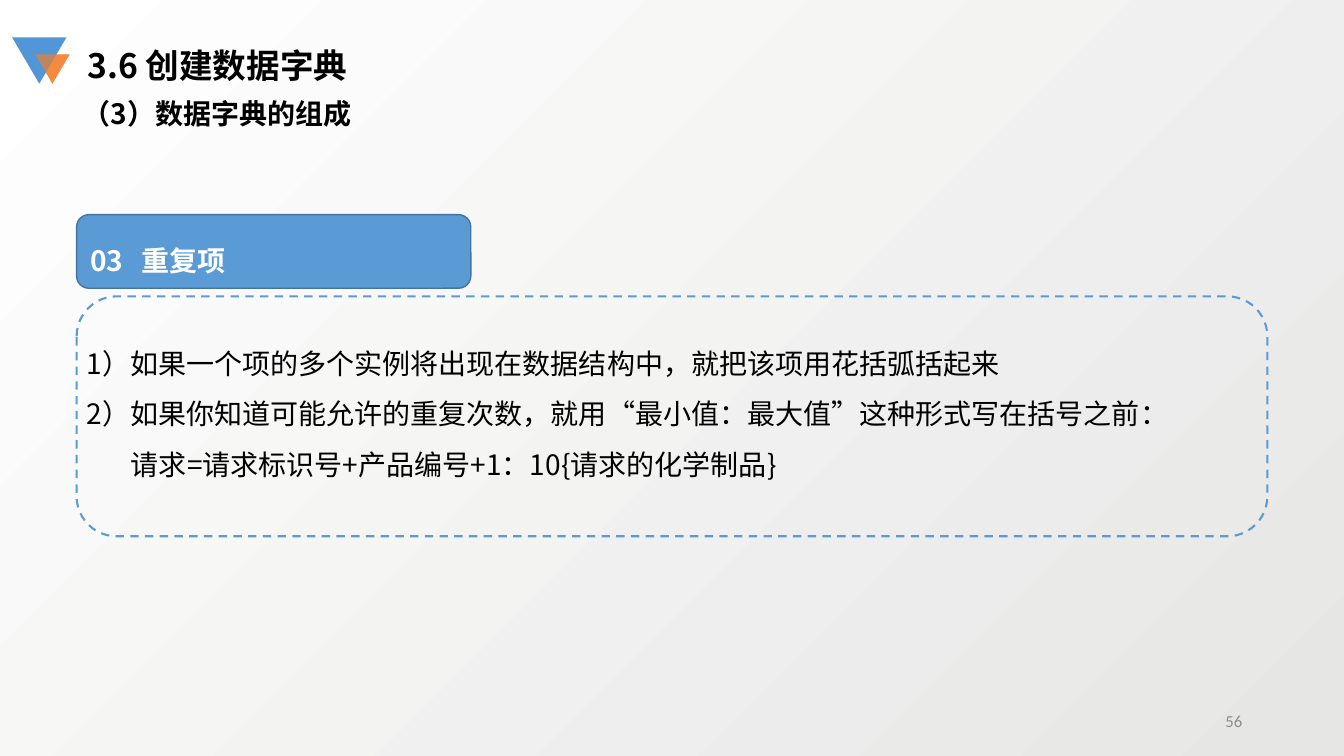
"""Build the data dictionary slide about repeating items."""
from dataclasses import dataclass

from lxml import etree
from pptx import Presentation
from pptx.dml.color import RGBColor
from pptx.enum.dml import MSO_LINE
from pptx.enum.shapes import MSO_SHAPE
from pptx.enum.text import MSO_ANCHOR, PP_ALIGN
from pptx.oxml.ns import qn
from pptx.util import Inches, Pt

TRIANGLE = MSO_SHAPE.ISOSCELES_TRIANGLE
ROUNDED = MSO_SHAPE.ROUNDED_RECTANGLE
DASH = MSO_LINE.DASH
TOP, MIDDLE = MSO_ANCHOR.TOP, MSO_ANCHOR.MIDDLE
LEFT, RIGHT = PP_ALIGN.LEFT, PP_ALIGN.RIGHT

CJK_FONT = "Noto Sans CJK SC"
COLORS = {
    "black": "000000",
    "white": "FFFFFF",
    "shade": "E6E6E5",
    "blue": "5B9BD5",
    "edge": "43739E",
    "marker_blue": "5197D7",
    "marker_orange": "F37D2A",
    "number": "8C8C8C",
}


@dataclass(frozen=True)
class Area:
    left: float
    top: float
    width: float
    height: float

    def lengths(self) -> tuple:
        return tuple(Inches(v) for v in (self.left, self.top, self.width, self.height))


@dataclass(frozen=True)
class Panel:
    kind: int
    area: Area
    fill: str = ""
    opacity: int = 100
    line: str = ""
    line_width: float = 1
    dash: bool = False
    rotation: int = 0


@dataclass(frozen=True)
class Line:
    text: str
    size: int = 20
    color: str = "black"
    bold: bool = False
    font: str = CJK_FONT
    spacing: float = 1.0
    align: int = LEFT
    indent: float = 0
    tab: float = 0


@dataclass(frozen=True)
class Label:
    area: Area
    lines: tuple
    anchor: int = TOP


ORANGE_MARKER = Panel(TRIANGLE, Area(0.35, 0.54, 0.34, 0.29), "marker_orange", 68, rotation=180)
BLUE_MARKER = Panel(TRIANGLE, Area(0.12, 0.37, 0.54, 0.46), "marker_blue", rotation=180)
HEADING_PANEL = Panel(ROUNDED, Area(0.76, 2.13, 3.91, 0.73), "blue", line="edge")
FRAME = Panel(ROUNDED, Area(0.76, 2.94, 11.81, 2.38), line="blue", line_width=1.5, dash=True)
PANELS = (ORANGE_MARKER, FRAME, BLUE_MARKER, ORANGE_MARKER)

HEADING = Line("03\t重复项", color="white", bold=True, spacing=1.5, tab=0.51)
LABELS = (
    Label(Area(0.76, 3.22, 11.81, 1.54), (
        Line("1）如果一个项的多个实例将出现在数据结构中，就把该项用花括弧括起来", spacing=1.5),
        Line("2）如果你知道可能允许的重复次数，就用“最小值：最大值”这种形式写在括号之前：", spacing=1.5),
        Line("请求=请求标识号+产品编号+1：10{请求的化学制品}", spacing=1.5, indent=0.44),
    )),
    Label(Area(0.77, 0.4, 3.53, 0.5), (Line("3.6 创建数据字典", 24, bold=True),)),
    Label(Area(0.72, 0.91, 8.49, 0.44), (Line("（3）数据字典的组成", bold=True),)),
    Label(Area(9.42, 6.95, 3, 0.4),
          (Line("56", 12, "number", font="Calibri", align=RIGHT),), MIDDLE),
)


def rgb(name: str) -> RGBColor:
    return RGBColor.from_string(COLORS[name])


def paint_background(page) -> None:
    fill = page.background.fill
    fill.gradient()
    fill.gradient_angle = 135
    for stop, color in zip(fill.gradient_stops, ("shade", "white")):
        stop.color.rgb = rgb(color)


def draw_panel(page, panel: Panel):
    shape = page.shapes.add_shape(panel.kind, *panel.area.lengths())
    shape.shadow.inherit = False
    shape.rotation = panel.rotation
    if panel.fill:
        shape.fill.solid()
        shape.fill.fore_color.rgb = rgb(panel.fill)
    else:
        shape.fill.background()
    if panel.opacity < 100:
        color = shape.fill._xPr.find(f".//{qn('a:srgbClr')}")
        etree.SubElement(color, qn("a:alpha"), val=str(panel.opacity * 1000))
    if panel.line:
        shape.line.color.rgb = rgb(panel.line)
        shape.line.width = Pt(panel.line_width)
        if panel.dash:
            shape.line.dash_style = DASH
    else:
        shape.line.fill.background()
    return shape


def write_lines(frame, lines: tuple, anchor: int) -> None:
    frame.word_wrap = True
    frame.vertical_anchor = anchor
    for index, line in enumerate(lines):
        para = frame.add_paragraph() if index else frame.paragraphs[0]
        para.text = line.text
        para.alignment = line.align
        para.line_spacing = line.spacing
        properties = para._p.get_or_add_pPr()
        if line.indent:
            properties.set("marL", str(Inches(line.indent)))
        if line.tab:
            tabs = etree.SubElement(properties, qn("a:tabLst"))
            etree.SubElement(tabs, qn("a:tab"), pos=str(Inches(line.tab)), algn="l")
        font = para.font
        font.size = Pt(line.size)
        font.bold = line.bold
        font.color.rgb = rgb(line.color)
        font.name = line.font
        etree.SubElement(properties.find(qn("a:defRPr")), qn("a:ea"), typeface=line.font)


def draw_label(page, label: Label) -> None:
    box = page.shapes.add_textbox(*label.area.lengths())
    write_lines(box.text_frame, label.lines, label.anchor)


def main() -> None:
    deck = Presentation()
    deck.slide_width, deck.slide_height = Inches(13.33), Inches(7.5)
    page = deck.slides.add_slide(deck.slide_layouts[6])
    paint_background(page)
    for panel in PANELS:
        draw_panel(page, panel)
    heading = draw_panel(page, HEADING_PANEL)
    write_lines(heading.text_frame, (HEADING,), MIDDLE)
    for label in LABELS:
        draw_label(page, label)
    deck.save("out.pptx")


if __name__ == "__main__":
    main()
